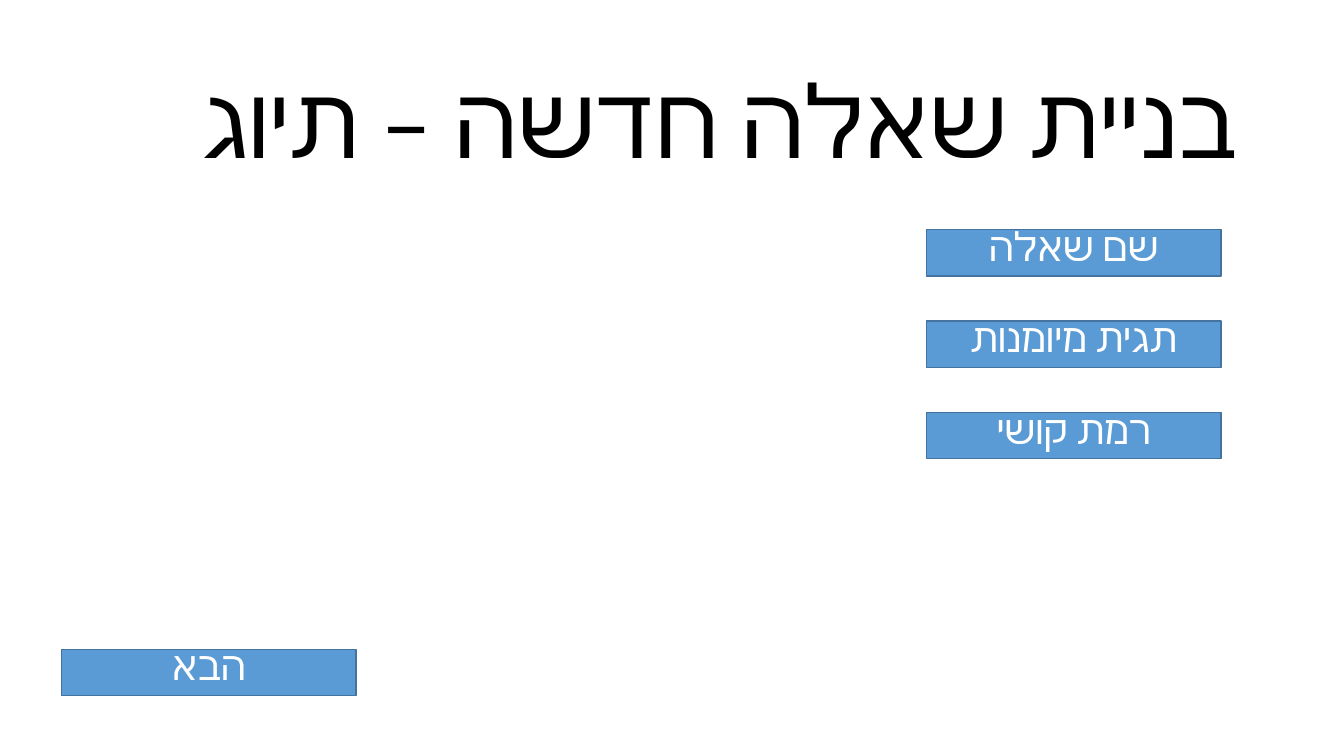
from dataclasses import dataclass

import pptx
import pptx.dml.color
import pptx.enum.shapes
import pptx.enum.text
import pptx.oxml
import pptx.oxml.ns
import pptx.util
from pptx.util import Cm, Pt

RGBColor = pptx.dml.color.RGBColor
Anchor = pptx.enum.text.MSO_ANCHOR

BLACK = RGBColor(0x00, 0x00, 0x00)
WHITE = RGBColor(0xFF, 0xFF, 0xFF)
BLUE = RGBColor(0x5B, 0x9B, 0xD5)
DARK_BLUE = RGBColor(0x43, 0x73, 0x9E)
FONT = "Calibri"

BUTTON_WIDTH, BUTTON_HEIGHT = 7.42, 1.17
FIELD_LEFT, FIELD_TOP, FIELD_STEP = 23.35, 5.79, 2.3
FIELDS = ("שם שאלה", "תגית מיומנות", "רמת קושי")


@dataclass
class Button:
    text: str
    left: float
    top: float


def write(sp, text: str, *, size: float, color: RGBColor, spacing: float,
          anchor: Anchor = Anchor.TOP) -> None:
    """Put one centred right-to-left paragraph into a shape."""
    tf = sp.text_frame
    tf.word_wrap = True
    tf.vertical_anchor = anchor
    p = tf.paragraphs[0]
    p.alignment = pptx.enum.text.PP_ALIGN.CENTER
    p.line_spacing = spacing
    p._p.get_or_add_pPr().set("rtl", "1")
    r = p.add_run()
    r.text = text
    r.font.size = Pt(size)
    r.font.name = FONT
    r.font.color.rgb = color
    cs = pptx.oxml.parse_xml(f'<a:cs {pptx.oxml.ns.nsdecls("a")} typeface="{FONT}"/>')
    r._r.get_or_add_rPr().append(cs)


def draw_button(slide, button: Button) -> None:
    sp = slide.shapes.add_shape(
        pptx.enum.shapes.MSO_SHAPE.RECTANGLE, Cm(button.left), Cm(button.top),
        Cm(BUTTON_WIDTH), Cm(BUTTON_HEIGHT))
    sp.shadow.inherit = False
    sp.fill.solid()
    sp.fill.fore_color.rgb = BLUE
    sp.line.color.rgb = DARK_BLUE
    sp.line.width = Pt(1)
    write(sp, button.text, size=28.5, color=WHITE, spacing=0.7)


def main() -> None:
    prs = pptx.Presentation()
    prs.slide_width, prs.slide_height = Cm(33.87), Cm(19.05)
    slide = prs.slides.add_slide(prs.slide_layouts[6])

    title = slide.shapes.add_textbox(Cm(1.27), Cm(1.09), Cm(33.73), Cm(3.58))
    write(title, "בניית שאלה חדשה – תיוג", size=72, color=BLACK, spacing=0.9,
          anchor=Anchor.BOTTOM)

    buttons = [Button(text, FIELD_LEFT, FIELD_TOP + i * FIELD_STEP)
               for i, text in enumerate(FIELDS)]
    buttons.append(Button("הבא", 1.55, 16.36))
    for button in buttons:
        draw_button(slide, button)

    prs.save("out.pptx")


if __name__ == "__main__":
    main()
